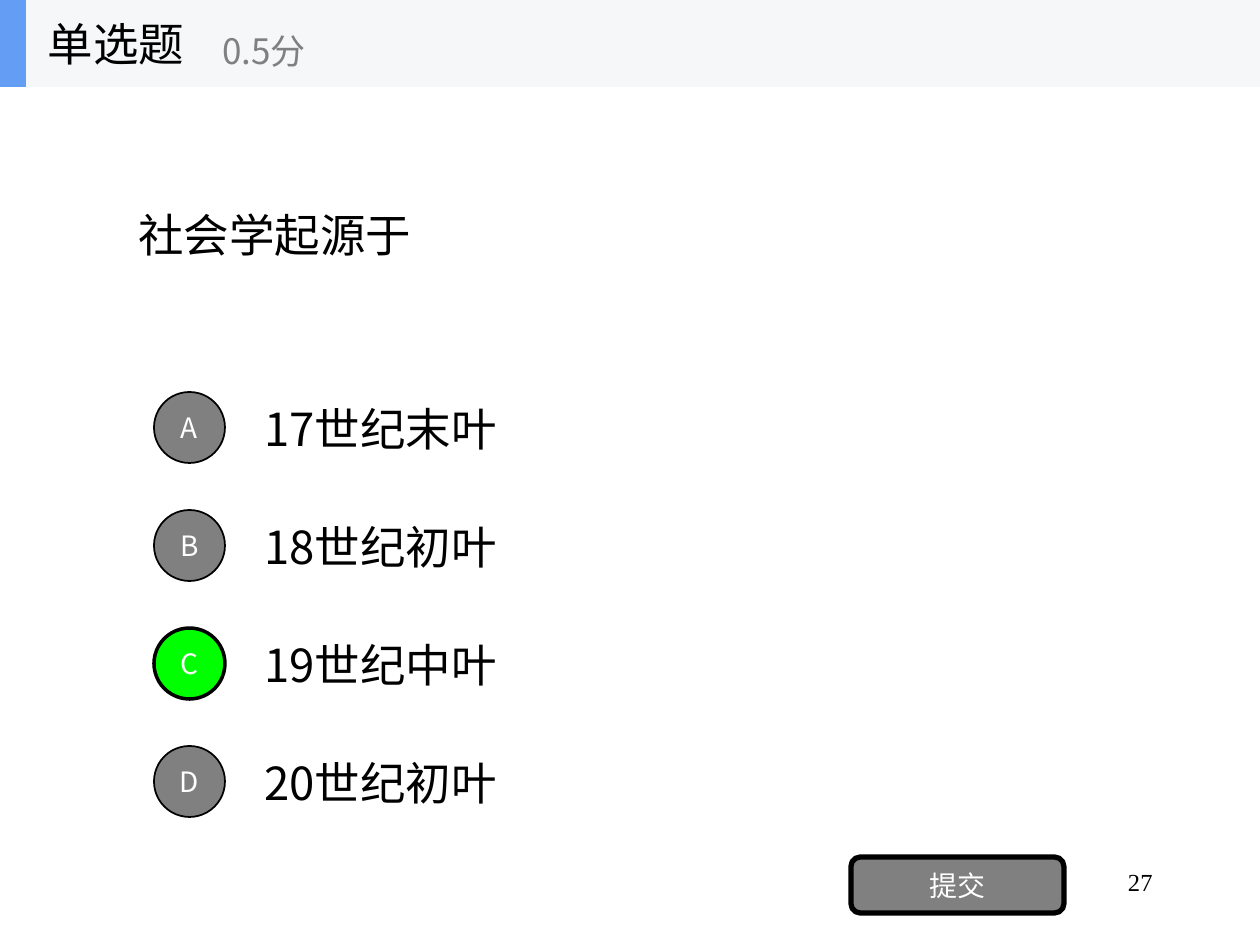
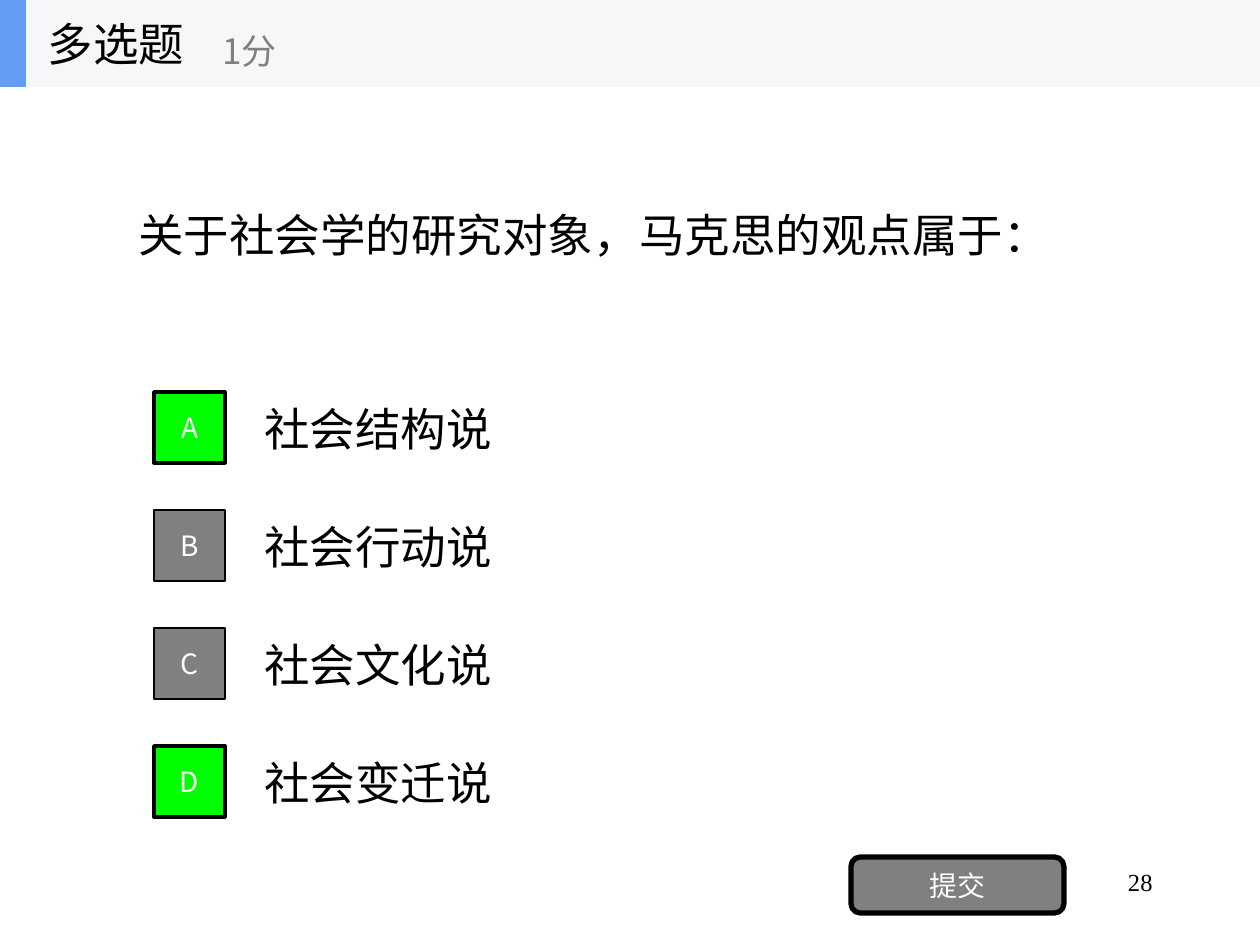
from pptx import Presentation
from pptx.dml.color import RGBColor
from pptx.enum import shapes, text
from pptx.oxml.ns import qn
from pptx import util as u

QUESTIONS = [
    {"kind": "单选题", "score": "0.5分", "page": "27", "marker": shapes.MSO_SHAPE.OVAL,
     "question": "社会学起源于", "correct": "C",
     "options": ["17世纪末叶", "18世纪初叶", "19世纪中叶", "20世纪初叶"]},
    {"kind": "多选题", "score": "1分", "page": "28", "marker": shapes.MSO_SHAPE.RECTANGLE,
     "question": "关于社会学的研究对象，马克思的观点属于：", "correct": "AD",
     "options": ["社会结构说", "社会行动说", "社会文化说", "社会变迁说"]},
]
SUBMIT = "提交"

COLORS = {"ink": "000000", "paper": "FFFFFF", "muted": "808080",
          "correct": "00FF00", "band": "F6F7F8", "accent": "639EF4"}
SANS, SERIF = "Noto Sans CJK SC", "Times New Roman"
PX = u.Inches(1) / 126
WIDTH, HEIGHT = 1260, 945
BAND_HEIGHT = 87
OPTION_TOP, OPTION_HEIGHT, OPTION_STEP = 384, 88, 118
MARKER_LEFT, MARKER_SIZE = 154, 71


def emu(*lengths):
    return [u.Emu(round(length * PX)) for length in lengths]


def color(name):
    return RGBColor.from_string(COLORS[name])


def write(target, words, size=26, ink="ink", face=SANS,
          align=text.PP_ALIGN.LEFT, anchor=text.MSO_ANCHOR.MIDDLE):
    frame = target.text_frame
    frame.word_wrap = True
    frame.auto_size = text.MSO_AUTO_SIZE.NONE
    frame.vertical_anchor = anchor
    paragraph = frame.paragraphs[0]
    paragraph.alignment = align
    run = paragraph.add_run()
    run.text = words
    run.font.size = u.Pt(size)
    run.font.color.rgb = color(ink)
    run.font.name = face
    east_asian = run.font._element.makeelement(qn("a:ea"), {"typeface": face})
    run.font._element.append(east_asian)


def label(slide, words, box, **style):
    write(slide.shapes.add_textbox(*emu(*box)), words, **style)


def panel(slide, preset, box, fill, line=0):
    block = slide.shapes.add_shape(preset, *emu(*box))
    block.shadow.inherit = False
    block.fill.solid()
    block.fill.fore_color.rgb = color(fill)
    if line:
        block.line.color.rgb = color("ink")
        block.line.width = u.Pt(line)
    else:
        block.line.fill.background()
    return block


def button(slide, preset, box, words, fill="muted", line=1):
    write(panel(slide, preset, box, fill, line), words,
          size=16, ink="paper", align=text.PP_ALIGN.CENTER)


def header(slide, kind, score):
    for width, fill in [(WIDTH, "band"), (26, "accent")]:
        panel(slide, shapes.MSO_SHAPE.RECTANGLE, (0, 0, width, BAND_HEIGHT), fill)
    title = slide.shapes.title
    title.left, title.top, title.width, title.height = emu(35, 0, 262, BAND_HEIGHT)
    title.element.getparent().append(title.element)
    write(title, kind)
    label(slide, score, (210, 15, 315, 71), size=20, ink="muted")


def footer(slide, page):
    label(slide, page, (903, 861, 262, 63), size=14, face=SERIF,
          align=text.PP_ALIGN.RIGHT, anchor=text.MSO_ANCHOR.TOP)
    button(slide, shapes.MSO_SHAPE.ROUNDED_RECTANGLE, (851, 857, 213, 56), SUBMIT, line=3)


def options(slide, item):
    inset = (OPTION_HEIGHT - MARKER_SIZE) // 2
    for row, (letter, answer) in enumerate(zip("ABCD", item["options"])):
        top = OPTION_TOP + row * OPTION_STEP
        label(slide, answer, (252, top, 882, OPTION_HEIGHT))
        fill, line = ("correct", 2) if letter in item["correct"] else ("muted", 1)
        button(slide, item["marker"], (MARKER_LEFT, top + inset, MARKER_SIZE, MARKER_SIZE),
               letter, fill=fill, line=line)


def main():
    deck = Presentation()
    deck.slide_width, deck.slide_height = emu(WIDTH, HEIGHT)
    for item in QUESTIONS:
        slide = deck.slides.add_slide(deck.slide_layouts.get_by_name("Title Only"))
        header(slide, item["kind"], item["score"])
        label(slide, item["question"], (126, BAND_HEIGHT, 1008, 295))
        options(slide, item)
        footer(slide, item["page"])
    deck.save("out.pptx")


if __name__ == "__main__":
    main()
